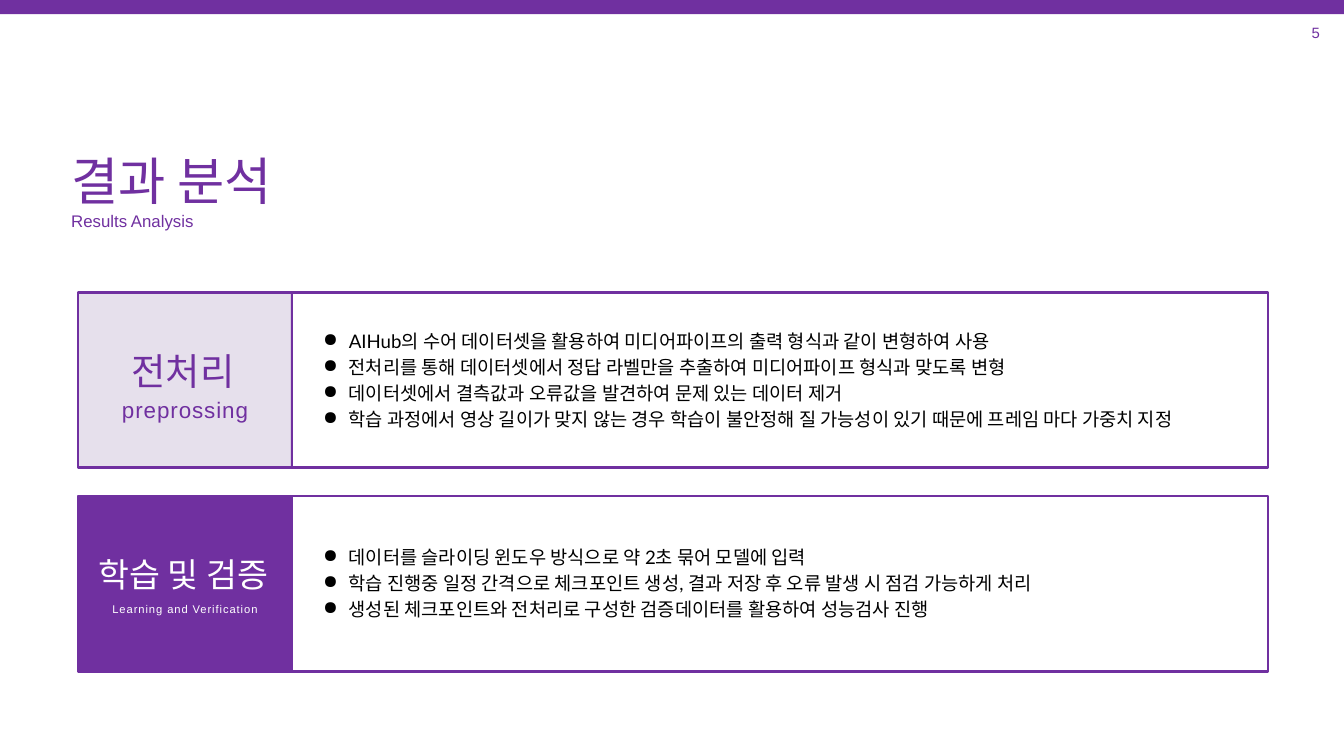
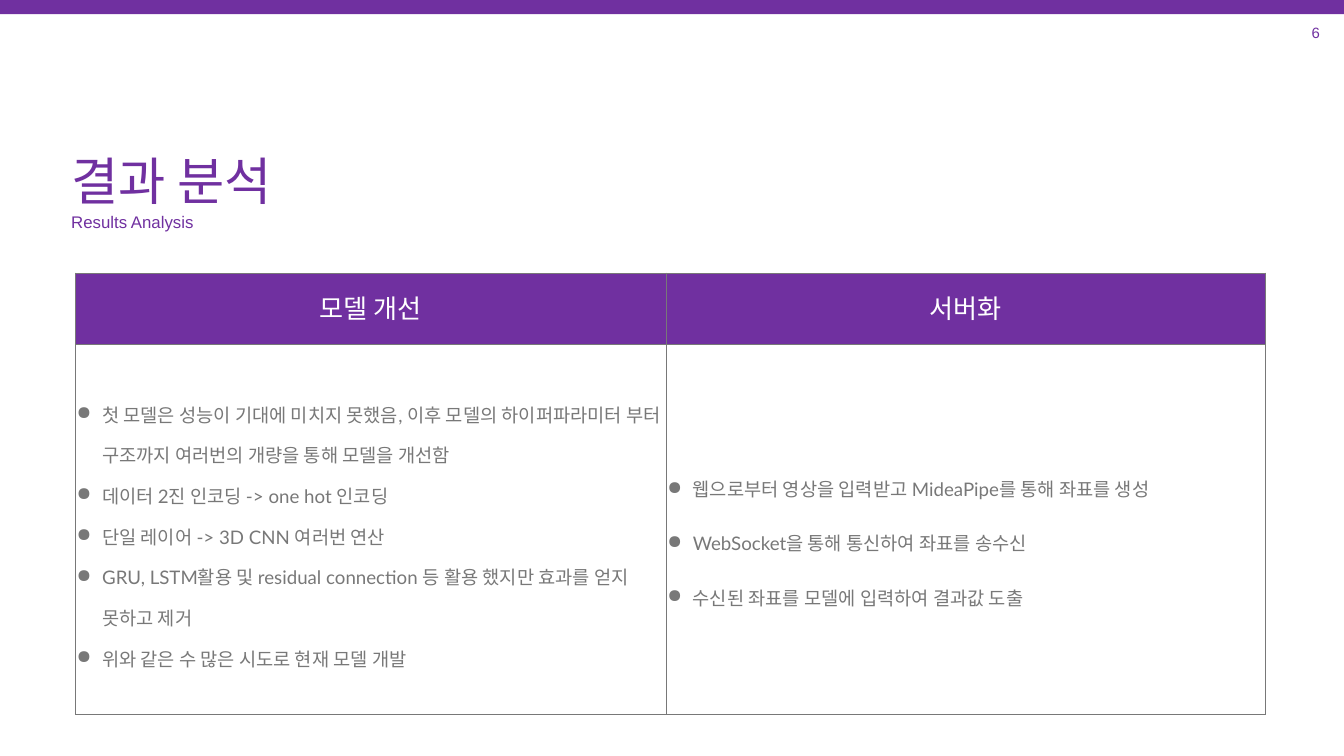
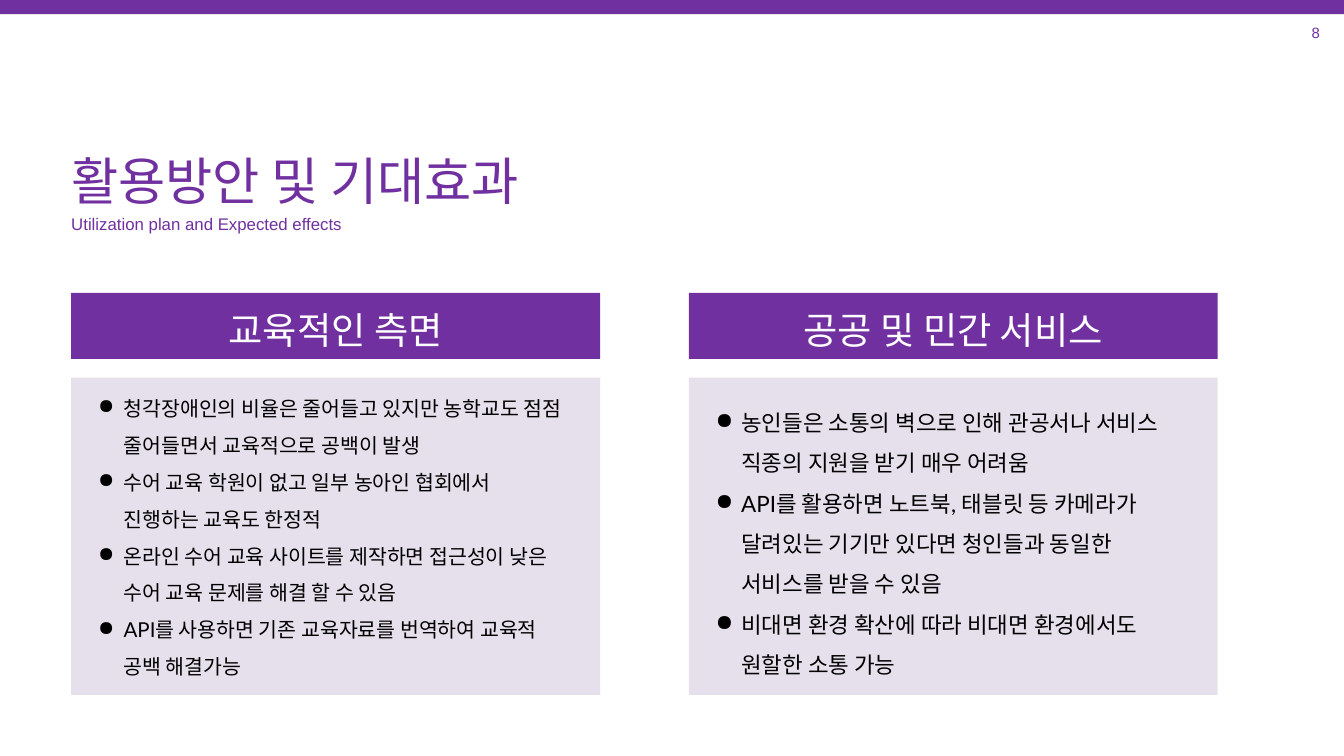
import lxml.etree
import pptx
import pptx.dml.color
import pptx.enum.shapes
import pptx.enum.text
import pptx.oxml.ns
import pptx.util

PX = 9144
HUES = {"main": "7030A0", "pale": "E6E0EC", "white": "FFFFFF", "black": "000000", "gray": "787878"}
RGB = {name: pptx.dml.color.RGBColor.from_string(code) for name, code in HUES.items()}
ALIGN = pptx.enum.text.PP_ALIGN
MIDDLE = pptx.enum.text.MSO_ANCHOR.MIDDLE
RECT = pptx.enum.shapes.MSO_SHAPE.RECTANGLE
SIDES = ("margin_left", "margin_right", "margin_top", "margin_bottom")
qn = pptx.oxml.ns.qn


def block(page, at, fill=None, line=None):
    shape = page.shapes.add_shape(RECT, *[n * PX for n in at])
    shape.shadow.inherit = False
    if fill:
        shape.fill.solid()
        shape.fill.fore_color.rgb = RGB[fill]
    else:
        shape.fill.background()
    if line:
        shape.line.color.rgb = RGB[line]
        shape.line.width = pptx.util.Pt(3)
    else:
        shape.line.fill.background()


def write(page, at, lines, size, face, hue, lead=1.16, align=ALIGN.LEFT, dots=False, track=0, frame=None):
    if frame is None:
        frame = page.shapes.add_textbox(*[n * PX for n in at]).text_frame
        form = dict.fromkeys(SIDES, 0) | {"word_wrap": True, "vertical_anchor": MIDDLE}
        for key, value in form.items():
            setattr(frame, key, value)
    for i, line in enumerate(lines):
        para = frame.paragraphs[0] if i == 0 else frame.add_paragraph()
        if dots:
            props = para._p.get_or_add_pPr()
            props.set("marL", str(38 * PX))
            props.set("indent", str(-38 * PX))
            tint = lxml.etree.SubElement(props, qn("a:buClr"))
            lxml.etree.SubElement(tint, qn("a:srgbClr")).set("val", HUES[hue])
            lxml.etree.SubElement(props, qn("a:buChar")).set("char", "●")
        para.alignment = align
        para.line_spacing = lead
        run = para.add_run()
        run.text = line
        for key, value in {"size": pptx.util.Pt(size), "name": face}.items():
            setattr(run.font, key, value)
        run.font.color.rgb = RGB[hue]
        if track:
            run._r.get_or_add_rPr().set("spc", str(track))


deck = pptx.Presentation()
deck.slide_width = 2000 * PX
deck.slide_height = 1125 * PX

heads = [
    ("결과 분석", "Results Analysis", 312, "5"),
    ("결과 분석", "Results Analysis", 314, "6"),
    ("활용방안 및 기대효과", "Utilization plan and Expected effects", 317, "8"),
]
pages = []
for title, sub, top, num in heads:
    page = deck.slides.add_slide(deck.slide_layouts[6])
    block(page, (0, 0, 2000, 21), "main")
    write(page, (106, top, 568, 35), [sub], 18, "Arial", "main", 0.95)
    write(page, (106, 207, 711, 107), [title], 55, "Calibri", "main")
    write(page, (1904, 33, 60, 32), [num], 16, "Arial", "main", 0.95, ALIGN.RIGHT)
    pages.append(page)

stages = [
    {
        "top": 435, "fill": "pale", "hue": "main",
        "name": ("전처리", 40, 508), "sub": ("preprossing", 24, 581, 60),
        "list": (443, 239),
        "lines": [
            "AIHub의 수어 데이터셋을 활용하여 미디어파이프의 출력 형식과 같이 변형하여 사용",
            "전처리를 통해 데이터셋에서 정답 라벨만을 추출하여 미디어파이프 형식과 맞도록 변형",
            "데이터셋에서 결측값과 오류값을 발견하여 문제 있는 데이터 제거",
            "학습 과정에서 영상 길이가 맞지 않는 경우 학습이 불안정해 질 가능성이 있기 때문에 프레임 마다 가중치 지정",
        ],
    },
    {
        "top": 738, "fill": "main", "hue": "white",
        "name": ("학습 및 검증", 36, 811), "sub": ("Learning and Verification", 12, 884, 45),
        "list": (787, 156),
        "lines": [
            "데이터를 슬라이딩 윈도우 방식으로 약 2초 묶어 모델에 입력",
            "학습 진행중 일정 간격으로 체크포인트 생성, 결과 저장 후 오류 발생 시 점검 가능하게 처리",
            "생성된 체크포인트와 전처리로 구성한 검증데이터를 활용하여 성능검사 진행",
        ],
    },
]
page = pages[0]
for stage in stages:
    top = stage["top"]
    name, size, high = stage["name"]
    sub, small, low, tall = stage["sub"]
    start, span = stage["list"]
    block(page, (116, top, 320, 259), stage["fill"])
    write(page, (481, start, 1312, span), stage["lines"], 20, "Lato", "black", dots=True)
    write(page, (124, high, 297, 76), [name], size, "Calibri", stage["hue"], align=ALIGN.CENTER)
    write(page, (117, low, 317, tall), [sub], small, "Arial", stage["hue"], 0.95, ALIGN.CENTER, track=100)
    block(page, (116, top, 1771, 261), line="main")
    block(page, (433, top, 3, 262), "main")

plans = [
    ("모델 개선", 879, 1.5, [
        "첫 모델은 성능이 기대에 미치지 못했음, 이후 모델의 하이퍼파라미터 부터 구조까지 여러번의 개량을 통해 모델을 개선함",
        "데이터 2진 인코딩 -> one hot 인코딩",
        "단일 레이어 -> 3D CNN 여러번 연산",
        "GRU, LSTM활용 및 residual connection 등 활용 했지만 효과를 얻지 못하고 제거",
        "위와 같은 수 많은 시도로 현재 모델 개발",
    ]),
    ("서버화", 892, 2.0, [
        "웹으로부터 영상을 입력받고 MideaPipe를 통해 좌표를 생성",
        "WebSocket을 통해 통신하여 좌표를 송수신",
        "수신된 좌표를 모델에 입력하여 결과값 도출",
    ]),
]
page = pages[1]
grid = page.shapes.add_table(2, 2, *[n * PX for n in (112, 406, 1771, 657)]).table
grid.horz_banding = False
for row, tall in zip(grid.rows, (106, 551)):
    row.height = tall * PX
for col, (name, wide, lead, lines) in enumerate(plans):
    grid.columns[col].width = wide * PX
    for row, fill in enumerate(("main", "white")):
        cell = grid.cell(row, col)
        for key, value in (dict.fromkeys(SIDES, 2 * PX) | {"vertical_anchor": MIDDLE}).items():
            setattr(cell, key, value)
        cell.fill.solid()
        cell.fill.fore_color.rgb = RGB[fill]
        props = cell._tc.get_or_add_tcPr()
        for i, side in enumerate(("lnL", "lnR", "lnT", "lnB")):
            edge = props.makeelement(qn("a:" + side), {"w": str(pptx.util.Pt(0.5))})
            paint = lxml.etree.SubElement(edge, qn("a:solidFill"))
            lxml.etree.SubElement(paint, qn("a:srgbClr")).set("val", HUES["gray"])
            props.insert(i, edge)
    write(page, None, [name], 28, "Calibri", "white", 0.92, ALIGN.CENTER, frame=grid.cell(0, col).text_frame)
    write(page, None, lines, 20, "Lato", "gray", lead, dots=True, frame=grid.cell(1, col).text_frame)

fields = [
    ("교육적인 측면", 106, 22, 572, 437, [
        "청각장애인의 비율은 줄어들고 있지만 농학교도 점점 줄어들면서 교육적으로 공백이 발생",
        "수어 교육 학원이 없고 일부 농아인 협회에서 진행하는 교육도 한정적",
        "온라인 수어 교육 사이트를 제작하면 접근성이 낮은 수어 교육 문제를 해결 할 수 있음",
        "API를 사용하면 기존 교육자료를 번역하여 교육적 공백 해결가능",
    ]),
    ("공공 및 민간 서비스", 1025, 24, 592, 414, [
        "농인들은 소통의 벽으로 인해 관공서나 서비스 직종의 지원을 받기 매우 어려움",
        "API를 활용하면 노트북, 태블릿 등 카메라가 달려있는 기기만 있다면 청인들과 동일한 서비스를 받을 수 있음",
        "비대면 환경 확산에 따라 비대면 환경에서도 원할한 소통 가능",
    ]),
]
page = pages[2]
for name, left, size, top, tall, lines in fields:
    block(page, (left, 562, 787, 472), "pale")
    block(page, (left, 436, 787, 98), "main")
    write(page, (left + 40, top, 701, tall), lines, size, "Lato", "black", 1.5, dots=True)
    write(page, (left + 62, 447, 663, 76), [name], 40, "Calibri", "white", align=ALIGN.CENTER)

deck.save("out.pptx")
